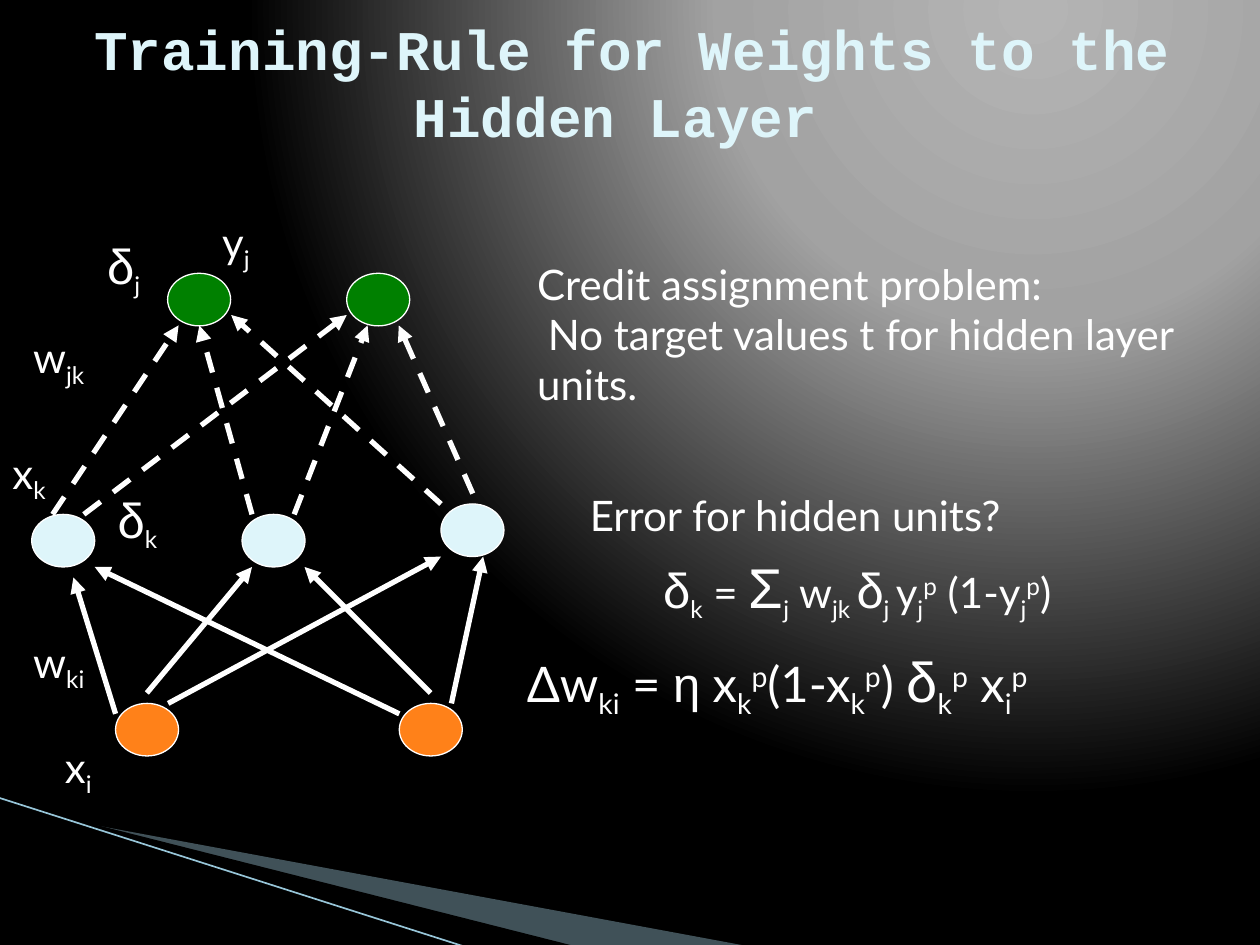
from lxml import etree
from pptx import Presentation
from pptx.dml.color import RGBColor
from pptx.enum import dml, shapes, text
from pptx.oxml.ns import qn
from pptx.util import Cm, Pt

THEME = {
    "white": "FFFFFF", "pale": "DEF5FA", "green": "008000", "orange": "FF8119",
    "wedge": "A0CBDC", "rule": "97C5D8", "black": "000000",
    "backdrop": [(0, "B4B4B4"), (40, "A2A2A2"), (100, "000000")],
    "title_font": "Courier New", "body_font": "Lato", "greek_font": "Arial",
    "body": 24, "large": 28, "huge": 32,
}
BODY, LARGE, HUGE = THEME["body"], THEME["large"], THEME["huge"]


def main(words):
    return words, 0, None


def sub(words):
    return words, -25, None


def sup(words):
    return words, 30, None


def greek(words, size):
    return words, 0, size


TITLE = "Training-Rule for Weights to the Hidden Layer "

NODE_SIZE = (1.27, 1.06)
LAYERS = [
    ("orange", [(2.33, 14.18), (8.05, 14.18)]),
    ("pale", [(0.64, 10.37), (4.88, 10.37), (8.89, 10.16)]),
    ("green", [(3.38, 5.51), (6.99, 5.51)]),
]
INPUT_ARROWS = [
    (3.39, 14.18, 8.89, 11.22), (2.96, 13.97, 5.08, 11.43),
    (2.33, 14.39, 1.48, 11.64), (9.1, 14.18, 9.74, 11.22),
    (8.68, 13.97, 6.14, 11.43), (8.05, 14.39, 1.91, 11.43),
]
OUTPUT_ARROWS = [
    (8.89, 10.16, 4.66, 6.35), (5.93, 10.37, 7.41, 6.56),
    (1.69, 10.37, 6.99, 6.35), (1.06, 10.37, 3.6, 6.56),
    (5.08, 10.37, 4.02, 6.56), (9.53, 9.95, 8.04, 6.56),
]
WEDGES = [
    ("wedge", 40, [(1.4, 16.54), (15.11, 19.08), (11.58, 19.08), (1.4, 16.51)]),
    ("black", 100, [(1.35, 16.48), (11.61, 19.08), (9.45, 19.1), (1.37, 16.51)]),
]
RULE = (-0.03, 16.08, 9.42, 19.1)

TEXTS = [
    ((0, 8.89, 1.27, 1.27), BODY, [[main("x"), sub("k")]]),
    ((1.06, 14.82, 1.27, 1.27), BODY, [[main("x"), sub("i")]]),
    ((0.42, 12.7, 1.91, 1.27), BODY, [[main("w"), sub("ki")]]),
    ((0.42, 6.56, 1.91, 1.27), BODY, [[main("w"), sub("jk")]]),
    ((1.91, 4.62, 1.55, 1.45), BODY, [[greek("δ", LARGE), sub("j")]]),
    ((2.12, 9.74, 1.55, 1.45), BODY, [[greek("δ", LARGE), sub("k")]]),
    ((4.23, 4.23, 1.55, 1.27), BODY, [[main("y"), sub("j")]]),
    ((10.58, 5.08, 13.92, 3.3), BODY, [
        [main("Credit assignment problem:")],
        [main(" No target values t for hidden layer")],
        [main("units.")],
    ]),
    ((11.64, 9.74, 10.37, 1.27), BODY, [[main("Error for hidden units?")]]),
    ((13.12, 11.01, 9.4, 1.63), BODY, [[
        greek("δ", LARGE), sub("k"), main(" = "), greek("Σ", HUGE), sub("j"),
        main(" w"), sub("jk "), greek("δ", LARGE), sub("j "), main("y"),
        sub("j"), sup("p"), main(" (1-y"), sub("j"), sup("p"), main(")"),
    ]]),
    ((10.37, 12.91, 13.76, 1.6), LARGE, [[
        main("Δw"), sub("ki"), main(" = "), greek("η", LARGE), main(" x"),
        sub("k"), sup("p"), main("(1-x"), sub("k"), sup("p"), main(") "),
        greek("δ", HUGE), sub("k"), sup("p"), main(" x"), sub("i"), sup("p"),
    ]]),
]


def color(name):
    return RGBColor.from_string(THEME[name])


def lengths(values):
    return [Cm(value) for value in values]


def paint_background(page):
    page.background.fill.gradient()
    gradient = page.background._cSld.find(".//" + qn("a:gradFill"))
    for child in list(gradient):
        gradient.remove(child)
    stops = etree.SubElement(gradient, qn("a:gsLst"))
    for position, value in THEME["backdrop"]:
        stop = etree.SubElement(stops, qn("a:gs"), pos=str(position * 1000))
        etree.SubElement(stop, qn("a:srgbClr"), val=value)
    circle = etree.SubElement(gradient, qn("a:path"))
    circle.set("path", "circle")
    etree.SubElement(circle, qn("a:fillToRect"), l="65000", t="0", r="0", b="98000")


def add_wedge(page, fill, opacity, points):
    corners = [tuple(lengths(point)) for point in points]
    builder = page.shapes.build_freeform(*corners[0], scale=1.0)
    builder.add_line_segments(corners[1:], close=True)
    wedge = builder.convert_to_shape()
    wedge.shadow.inherit = False
    wedge.fill.solid()
    wedge.fill.fore_color.rgb = color(fill)
    wedge.line.fill.background()
    if opacity < 100:
        tint = wedge._element.spPr.find(".//" + qn("a:srgbClr"))
        etree.SubElement(tint, qn("a:alpha"), val=str(opacity * 1000))


def add_line(page, ends, stroke, width, dashed=False, arrow=False):
    line = page.shapes.add_connector(shapes.MSO_CONNECTOR.STRAIGHT, *lengths(ends))
    line.line.color.rgb = color(stroke)
    line.line.width = Pt(width)
    if dashed:
        line.line.dash_style = dml.MSO_LINE.DASH
    if arrow:
        etree.SubElement(line.line._get_or_add_ln(), qn("a:tailEnd"), type="triangle")
    etree.SubElement(line._element.spPr, qn("a:effectLst"))


def add_node(page, corner, fill):
    node = page.shapes.add_shape(shapes.MSO_SHAPE.OVAL, *lengths(corner + NODE_SIZE))
    node.shadow.inherit = False
    node.fill.solid()
    node.fill.fore_color.rgb = color(fill)
    node.line.color.rgb = color("white")
    node.line.width = Pt(0.75)


def add_box(page, place):
    box = page.shapes.add_textbox(*lengths(place))
    box.text_frame.word_wrap = True
    return box.text_frame


def style(span, font, size, fill):
    span.font.name = font
    span.font.size = Pt(size)
    span.font.color.rgb = color(fill)


def add_title(page):
    frame = add_box(page, (1.32, 0.05, 22.86, 3.18))
    frame.vertical_anchor = text.MSO_ANCHOR.MIDDLE
    frame.text = TITLE
    para = frame.paragraphs[0]
    para.alignment = text.PP_ALIGN.CENTER
    style(para.runs[0], THEME["title_font"], HUGE, "pale")
    para.runs[0].font.bold = True


def add_text(page, place, size, lines):
    frame = add_box(page, place)
    for index, spans in enumerate(lines):
        para = frame.add_paragraph() if index else frame.paragraphs[0]
        for words, baseline, greek_size in spans:
            span = para.add_run()
            span.text = words
            font = THEME["greek_font" if greek_size else "body_font"]
            style(span, font, greek_size or size, "white")
            if baseline:
                span.font._element.set("baseline", str(baseline * 1000))


def build():
    deck = Presentation()
    deck.slide_width, deck.slide_height = lengths((25.4, 19.05))
    page = deck.slides.add_slide(deck.slide_layouts[6])
    paint_background(page)
    for wedge in WEDGES:
        add_wedge(page, *wedge)
    add_line(page, RULE, "rule", 0.95)
    add_title(page)
    for fill, corners in LAYERS:
        for corner in corners:
            add_node(page, corner, fill)
    for arrows, dashed in ((INPUT_ARROWS, False), (OUTPUT_ARROWS, True)):
        for ends in arrows:
            add_line(page, ends, "white", 3, dashed, arrow=True)
    for entry in TEXTS:
        add_text(page, *entry)
    deck.save("out.pptx")


if __name__ == "__main__":
    build()
